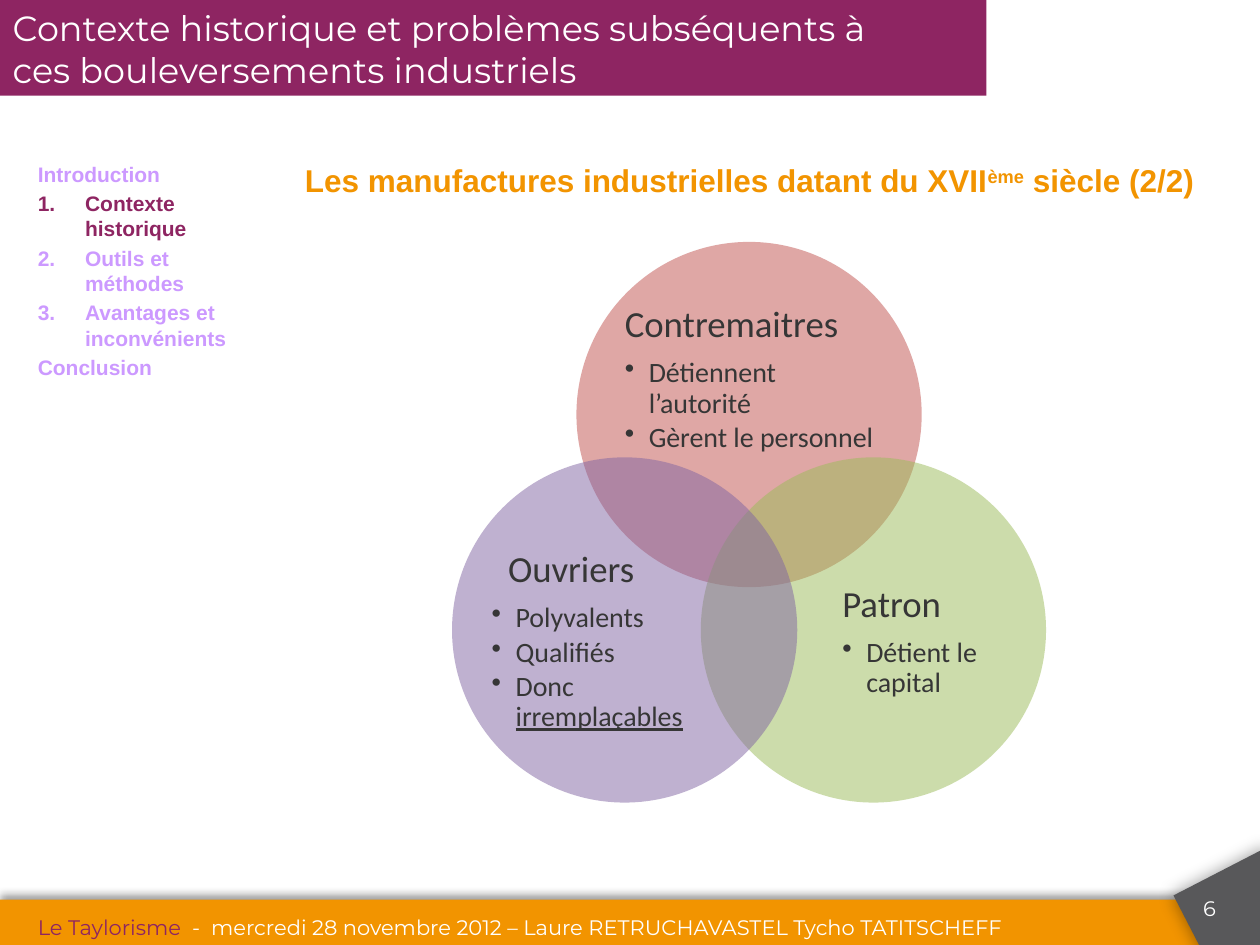
from math import cos, radians, sin

from lxml import etree
from pptx import Presentation
from pptx.dml.color import RGBColor
from pptx.enum.shapes import MSO_SHAPE
from pptx.enum.text import MSO_ANCHOR, MSO_AUTO_SIZE, PP_ALIGN
from pptx.oxml.ns import qn
from pptx.util import Inches, Pt

RECT, OVAL = MSO_SHAPE.RECTANGLE, MSO_SHAPE.OVAL
TOP, MIDDLE = MSO_ANCHOR.TOP, MSO_ANCHOR.MIDDLE
COLOURS = {
    "orange": "F29400", "grey": "58585A", "plum": "8E2562", "white": "FFFFFF",
    "lilac": "CC99FF", "ink": "363636", "black": "000000",
    "red": "C0504D", "green": "9BBB59", "violet": "8064A2",
}

deck = Presentation()
deck.slide_width, deck.slide_height = Inches(10), Inches(7.5)
page = deck.slides.add_slide(deck.slide_layouts.get_by_name("Comparison"))
COLUMN = deck.slide_width / 100
ROW = deck.slide_height / 75


def grid(left, top, width, height):
    """Turn columns and rows (100 by 75 on the slide) into lengths."""
    return [int(left * COLUMN), int(top * ROW), int(width * COLUMN), int(height * ROW)]


def write_para(box, spans, size, font, colour, bold=False, indent=0, hanging=0,
               bullet=None, before=0, after=0, leading=1.0):
    """Add a paragraph; each span is a text or a (text, overrides) pair."""
    frame = box.text_frame
    para = frame.paragraphs[0] if not frame.text else frame.add_paragraph()
    para.alignment = PP_ALIGN.LEFT
    para.line_spacing = leading
    para.space_before, para.space_after = Pt(before), Pt(after)
    settings = para._p.get_or_add_pPr()
    settings.set("marL", str(int(indent * COLUMN)))
    settings.set("indent", str(int(-hanging * COLUMN)))
    if bullet == "number":
        etree.SubElement(settings, qn("a:buAutoNum"), type="arabicPeriod")
    elif bullet:
        etree.SubElement(settings, qn("a:buChar"), char=bullet)
    else:
        etree.SubElement(settings, qn("a:buNone"))
    for item in spans:
        text, changes = (item, {}) if isinstance(item, str) else item
        span = para.add_run()
        span.text = text
        span.font.size, span.font.name, span.font.bold = Pt(size), font, bold
        span.font.color.rgb = RGBColor.from_string(COLOURS[changes.get("colour", colour)])
        if changes.get("underline"):
            span.font.underline = True
        if "baseline" in changes:
            span.font._element.set("baseline", str(changes["baseline"] * 1000))


# Bands, corner and the three overlapping circles
RADIUS, REACH, CENTRE_X, CENTRE_Y = 13.7, 11.4, 59.45, 44.3
plates = [
    (RECT, (0, 71.4, 100, 3.6), "orange", 0, 100, (4, 3, 270)),
    (RECT, (94.6, 68.7, 8.3, 8.4), "grey", 332.7, 100, (10, 0, 216)),
    (RECT, (0, -0.3, 78.3, 7.9), "plum", 0, 100, None),
]
for angle, colour in ((-90, "red"), (30, "green"), (150, "violet")):
    left = CENTRE_X + REACH * cos(radians(angle)) - RADIUS
    top = CENTRE_Y + REACH * sin(radians(angle)) - RADIUS
    plates.append((OVAL, (left, top, 2 * RADIUS, 2 * RADIUS), colour, 0, 50, None))

for preset, place, colour, rotation, opacity, shadow in plates:
    plate = page.shapes.add_shape(preset, *grid(*place))
    plate.rotation = rotation
    plate.shadow.inherit = False
    plate.line.fill.background()
    plate.fill.solid()
    plate.fill.fore_color.rgb = RGBColor.from_string(COLOURS[colour])
    if opacity < 100:
        tone = plate._element.spPr.find(qn("a:solidFill"))[0]
        etree.SubElement(tone, qn("a:alpha"), val=str(opacity * 1000))
    if shadow:
        blur, distance, direction = shadow
        effects = plate._element.spPr.find(qn("a:effectLst"))
        outer = etree.SubElement(
            effects, qn("a:outerShdw"), blurRad=str(Pt(blur)), dist=str(Pt(distance)),
            dir=str(direction * 60000), algn="ctr", rotWithShape="0")
        tone = etree.SubElement(outer, qn("a:srgbClr"), val=COLOURS["black"])
        etree.SubElement(tone, qn("a:alpha"), val="40000")

# Placeholders, raised above the bands
title, subtitle, outline, footer, spare = page.placeholders
spare.element.getparent().remove(spare.element)
for box, place in (
    (title, (0, 0, 74.4, 6.8)),
    (subtitle, (23.2, 12.3, 74, 3.9)),
    (outline, (2, 12.3, 19.7, 26.8)),
    (footer, (2, 72.1, 90.6, 3.9)),
):
    box.left, box.top, box.width, box.height = grid(*place)
    box.text_frame.auto_size = MSO_AUTO_SIZE.NONE
    box.text_frame.vertical_anchor = TOP
    box.element.getparent().append(box.element)

write_para(title, ["Contexte historique et problèmes subséquents à ces bouleversements industriels"],
           20, "Montserrat", "white")
write_para(subtitle, ["Les manufactures industrielles datant du XVII", ("ème", {"baseline": 30}),
                      " siècle (2/2)"], 18, "Arial", "orange", bold=True, before=3.6)
for text, colour, numbered in (
    ("Introduction", "lilac", False),
    ("Contexte historique", "plum", True),
    ("Outils et méthodes", "lilac", True),
    ("Avantages et inconvénients", "lilac", True),
    ("Conclusion", "lilac", False),
):
    margin = 3.75 if numbered else 0
    write_para(outline, [text], 12, "Arial", colour, bold=True, before=2.4, indent=margin,
               hanging=margin, bullet="number" if numbered else None)
write_para(footer, [("Le Taylorisme  ", {"colour": "plum"}),
                    "-  mercredi 28 novembre 2012 – Laure RETRUCHAVASTEL Tycho TATITSCHEFF"],
           12, "Montserrat", "white", before=2.4)

number = page.shapes.add_textbox(*grid(94.5, 70.6, 5.5, 3))
number.text_frame.word_wrap = True
write_para(number, ["6"], 12, "Montserrat", "white")

# Role and duties in each circle
for place, role, shift, duties in (
    ((49.4, 24, 20.1, 12.3), "Contremaitres", 0,
     [["Détiennent l’autorité"], ["Gèrent le personnel"]]),
    ((64, 43.4, 16.4, 15.1), "Patron", 0, [["Détient le capital"]]),
    ((38.4, 43.4, 16.4, 15.1), "Ouvriers", 1.3,
     [["Polyvalents"], ["Qualifiés"], ["Donc ", ("irremplaçables", {"underline": True})]]),
):
    box = page.shapes.add_textbox(*grid(*place))
    frame = box.text_frame
    frame.word_wrap = True
    frame.vertical_anchor = MIDDLE
    frame.margin_left = frame.margin_right = frame.margin_top = frame.margin_bottom = 0
    frame._txBody.bodyPr.set("anchorCtr", "1")
    write_para(box, [role], 21, "Calibri", "ink", indent=shift, after=7.35, leading=0.9)
    for duty in duties:
        write_para(box, duty, 16, "Calibri", "ink", indent=1.9, hanging=1.9,
                   bullet="•", after=2.4, leading=0.9)

deck.save("out.pptx")
